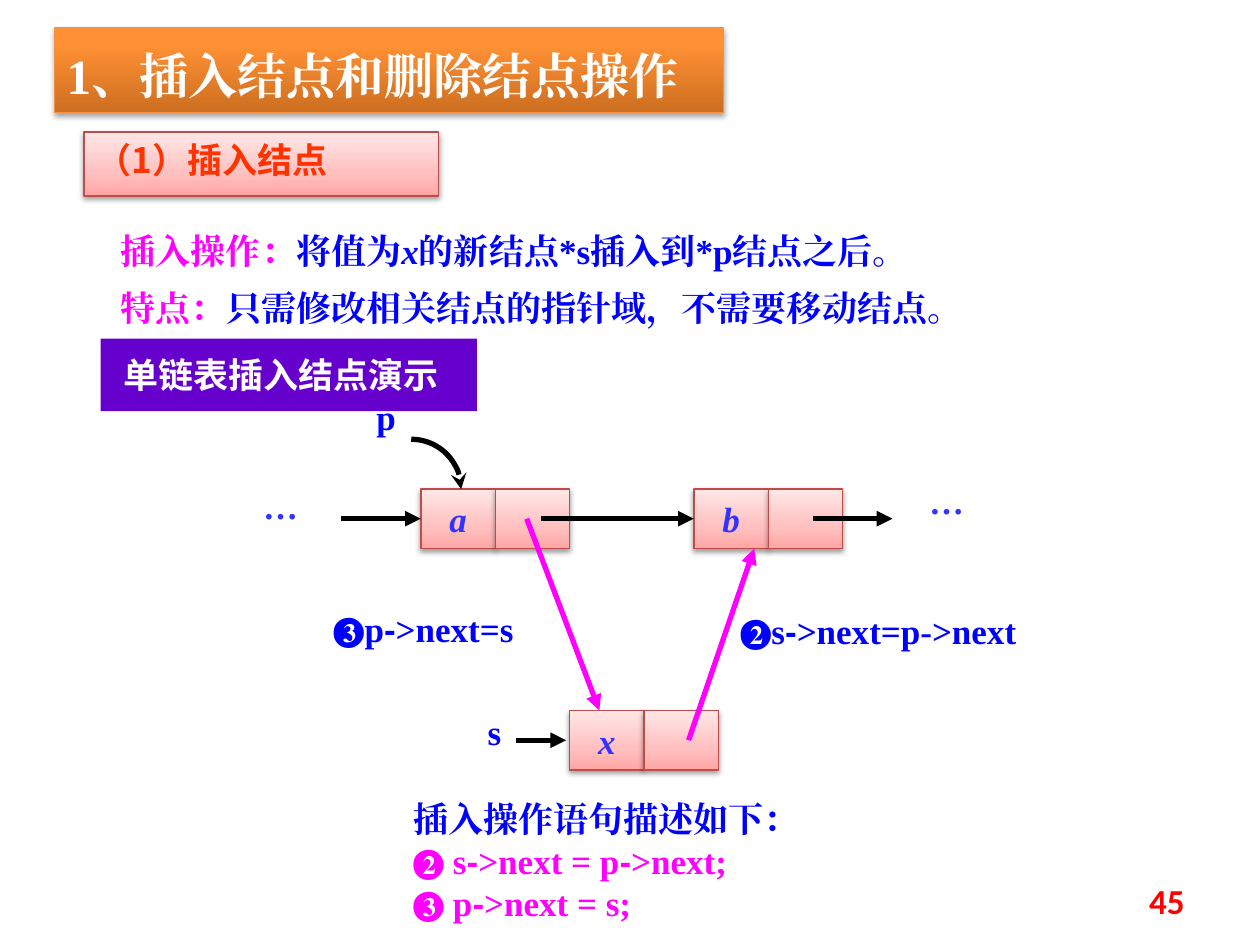
from copy import deepcopy as clone
from dataclasses import dataclass
from lxml.etree import SubElement as sub
from pptx import Presentation
from pptx.dml.color import RGBColor as RGB
from pptx.enum.shapes import MSO_CONNECTOR as Link, MSO_SHAPE as Form
from pptx.enum.text import MSO_ANCHOR as Anchor, PP_ALIGN as Align
from pptx.oxml.ns import qn
from pptx.util import Pt


@dataclass(frozen=True)
class Theme:
    serif: str = "Times New Roman"
    sans: str = "Noto Sans CJK SC"
    dash: str = "Arial"
    plain: str = "Calibri"
    head: int = 28
    body: int = 20
    blue: str = "0000FF"
    soft: str = "3333FF"
    pink: str = "FF00FF"
    red: str = "FF0000"
    warm: str = "FF3300"
    white: str = "FFFFFF"
    black: str = "000000"
    plum: str = "6600CC"
    edge: str = "BF4C48"
    rim: str = "F69240"
    rose: tuple = ((0, "FFA6A5"), (0.35, "FFC0BF"), (1, "FFE7E7"))
    flame: tuple = ((0, "CC6E20"), (0.8, "FF9034"), (1, "FF9136"))


T = Theme()


def rgb(code):
    return RGB.from_string(code)


def write(shape, runs, color, name=T.serif, size=T.body, align=Align.LEFT,
          gap=None, first=True):
    frame = shape.text_frame
    para = frame.paragraphs[0] if first else frame.add_paragraph()
    para.alignment = align
    if gap:
        para.line_spacing = gap
    font = para.font
    font.size, font.bold = Pt(size), True
    font.color.rgb = rgb(color)
    font.name = name
    for text, look in runs:
        run = para.add_run()
        run.text = text
        if "color" in look:
            run.font.color.rgb = rgb(look["color"])
        if "name" in look:
            run.font.name = look["name"]
        if "italic" in look:
            run.font.italic = look["italic"]


def code(text):
    parts = text.split("|")
    runs = [(parts[0], {})]
    for part in parts[1:]:
        runs += [("-", {"name": T.dash}), (part, {})]
    return runs


def label(slide, area, runs, color, **look):
    box = slide.shapes.add_textbox(*map(Pt, area))
    box.text_frame.word_wrap = True
    write(box, runs, color, **look)
    return box


def block(slide, area):
    shape = slide.shapes.add_shape(Form.RECTANGLE, *map(Pt, area))
    shape.shadow.inherit = False
    shape.text_frame.word_wrap = True
    shape.text_frame.vertical_anchor = Anchor.TOP
    return shape


def panel(slide, area, stops, edge, alpha=38):
    shape = block(slide, area)
    fill = shape.fill
    fill.gradient()
    fill.gradient_angle = 90
    items = next(shape.element.iter(qn("a:gsLst")))
    items.append(clone(items[0]))
    for stop, (pos, color) in zip(fill.gradient_stops, stops):
        stop.position = pos
        stop.color.rgb = rgb(color)
    shape.line.color.rgb = rgb(edge)
    shape.line.width = Pt(0.75)
    shade = sub(next(shape.element.iter(qn("a:effectLst"))), qn("a:outerShdw"),
                blurRad=str(Pt(3.1)), dist=str(Pt(1.6)), dir="5400000",
                rotWithShape="0")
    tint = sub(shade, qn("a:srgbClr"), val=T.black)
    sub(tint, qn("a:alpha"), val=str(alpha * 1000))
    return shape


def node(slide, left, top, name):
    wide, high = 42.5, 34
    data, _ = [panel(slide, (left + i * wide, top, wide, high), T.rose, T.edge)
               for i in range(2)]
    data.text_frame.word_wrap = False
    data.text_frame.vertical_anchor = Anchor.MIDDLE
    write(data, [(name, {"italic": True})], T.soft, align=Align.CENTER)
    return data


def stroke(shape, color, tip):
    shape.line.color.rgb = rgb(color)
    shape.line.width = Pt(3)
    sub(next(shape.element.iter(qn("a:ln"))), qn("a:tailEnd"), type=tip)


def arrow(slide, start, end, color=T.black, goal=None):
    line = slide.shapes.add_connector(Link.STRAIGHT, *map(Pt, start + end))
    stroke(line, color, "triangle")
    sub(line.element.spPr, qn("a:effectLst"))
    if goal is not None:
        line.end_connect(goal, 1)


def curve(slide, area):
    arc = slide.shapes.add_shape(Form.ARC, *map(Pt, area))
    arc.shadow.inherit = False
    arc.fill.background()
    stroke(arc, T.black, "stealth")


def intro(slide):
    label(slide, (62, 123, 593, 42.5),
          [("插入操作：", {"color": T.pink}), ("将值为", {}),
           ("x", {"italic": True}), ("的新结点*s插入到*p结点之后。", {})],
          T.blue, gap=1.2)
    title = panel(slide, (31, 16, 382.5, 48.5), T.flame, T.rim, 35)
    write(title, [("1、插入结点和删除结点操作", {})], T.white, size=T.head,
          align=Align.JUSTIFY, gap=1.2)
    label(slide, (62, 160, 607, 36),
          [("特点：", {"color": T.pink}),
           ("只需修改相关结点的指针域，不需要移动结点。", {})], T.blue)
    part = panel(slide, (48, 75.5, 202.5, 36.5), T.rose, T.edge)
    write(part, [("（1）插入结点", {})], T.warm, name=T.sans)
    page = label(slide, (516, 500, 168, 29), [("45", {})], T.red,
                 name=T.plain, align=Align.RIGHT)
    page.text_frame.vertical_anchor = Anchor.MIDDLE


def chain(slide):
    row = 296.4
    a = node(slide, 240.5, 279.4, "a")
    b = node(slide, 396.5, 279.4, "b")
    node(slide, 325.5, 406, "x")
    for left, top in ((518.5, 276.5), (138, 279.5)):
        label(slide, (left, top, 45.5, 36), [("…", {})], T.soft,
              name=T.sans, align=Align.CENTER)
    for name, left, top in (("p", 208, 222.5), ("s", 271.5, 402.5)):
        label(slide, (left, top, 34, 36), [(name, {})], T.blue)
    curve(slide, (206.5, 251, 57, 57))
    arrow(slide, (309, row), (396.5, row), goal=b)
    arrow(slide, (464.5, row), (510, row))
    arrow(slide, (195, row), (240.5, row), goal=a)
    arrow(slide, (295, 423), (323.5, 423))
    arrow(slide, (393.5, 423), (431, 313.5), T.pink)
    label(slide, (416, 344.5, 222, 31), code("❷s|>next=p->next"), T.blue)
    arrow(slide, (301, row), (342.5, 406), T.pink)
    label(slide, (183.5, 343.5, 149, 31), code("❸p|>next=s"), T.blue)


def recap(slide):
    box = label(slide, (229, 452, 306, 80),
                [("插入操作语句描述如下：", {})], T.blue)
    for text in ("❷ s|>next = p|>next;", "❸ p|>next = s;"):
        write(box, code(text), T.pink, first=False)
    demo = block(slide, (57.5, 193.5, 215, 41.5))
    demo.fill.solid()
    demo.fill.fore_color.rgb = rgb(T.plum)
    demo.line.fill.background()
    frame = demo.text_frame
    frame.margin_left = frame.margin_right = Pt(13)
    frame.margin_top = frame.margin_bottom = Pt(8.5)
    write(demo, [("单链表插入结点演示", {})], T.white, name=T.sans)


def match(slide):
    for latin in list(slide.element.iter(qn("a:latin"))):
        east = latin.makeelement(qn("a:ea"), typeface=latin.get("typeface"))
        latin.addnext(east)


def main():
    deck = Presentation()
    deck.slide_width, deck.slide_height = Pt(720), Pt(540)
    slide = deck.slides.add_slide(deck.slide_layouts[6])
    intro(slide)
    chain(slide)
    recap(slide)
    match(slide)
    deck.save("out.pptx")


if __name__ == "__main__":
    main()
